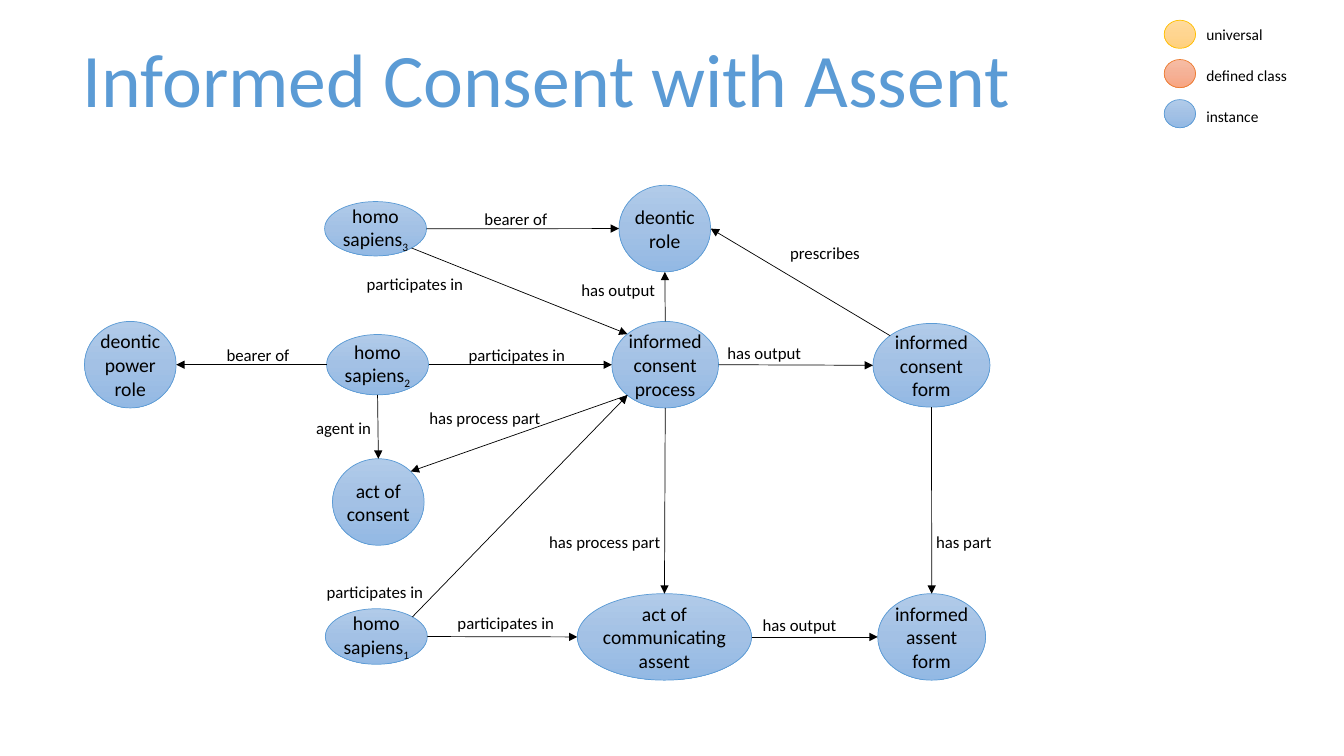
from copy import deepcopy
from math import cos, radians, sin

from lxml import etree
from pptx import Presentation
from pptx.dml.color import RGBColor
from pptx.enum.shapes import MSO_CONNECTOR, MSO_SHAPE
from pptx.enum.text import MSO_ANCHOR, MSO_AUTO_SIZE, PP_ALIGN
from pptx.oxml.ns import qn
from pptx.util import Cm, Pt

# Gradient stops from top to bottom, then the outline
INSTANCE = ("B1CBE9", "A3C1E5", "93B9E4", "5B9BD5")
DEFINED_CLASS = ("F7BDA5", "F5B196", "F8A582", "ED7D31")
UNIVERSAL = ("FFDB9E", "FFD590", "FFD07C", "FFC000")

# Ellipse connection sites, counterclockwise from the top in steps of 45 degrees
TOP, TOP_LEFT, LEFT, BOTTOM_LEFT, BOTTOM, BOTTOM_RIGHT, RIGHT, TOP_RIGHT = range(8)

# Key: left, top, width, height in cm, wording, subscript
NODES = {
    "subject": (8.23, 8.43, 2.57, 1.52, "homo sapiens", "2"),
    "holder": (8.18, 5.08, 2.57, 1.37, "homo sapiens", "3"),
    "minor": (8.2, 15.34, 2.57, 1.4, "homo sapiens", "1"),
    "consent form": (22, 8.15, 2.95, 2.11, "informed consent form", ""),
    "process": (15.42, 8.1, 2.69, 2.18, "informed consent process", ""),
    "power role": (2.13, 8.1, 2.31, 2.18, "deontic\vpower role", ""),
    "role": (15.6, 4.67, 2.31, 2.18, "deontic role", ""),
    "consent act": (8.38, 11.56, 2.31, 2.18, "act of consent", ""),
    "assent act": (14.55, 14.96, 4.39, 2.18, "act of communicating assent", ""),
    "assent form": (22.12, 14.96, 2.72, 2.18, "informed assent form", ""),
}

# Source node and site, target node and site, relation, label left and top
RELATIONS = [
    ("subject", LEFT, "power role", RIGHT, "bearer of", 5.46, 8.56),
    ("holder", RIGHT, "role", LEFT, "bearer of", 11.96, 5.13),
    ("holder", BOTTOM_RIGHT, "process", TOP_LEFT, "participates in", 8.99, 6.78),
    ("subject", RIGHT, "process", LEFT, "participates in", 11.56, 8.56),
    ("process", TOP, "role", BOTTOM, "has output", 14.4, 6.93),
    ("process", RIGHT, "consent form", LEFT, "has output", 18.08, 8.51),
    ("consent form", TOP_LEFT, "role", RIGHT, "prescribes", 19.66, 5.99),
    ("minor", TOP_RIGHT, "process", BOTTOM_LEFT, "participates in", 7.98, 14.53),
    ("subject", BOTTOM, "consent act", TOP, "agent in", 7.72, 10.39),
    ("process", BOTTOM_LEFT, "consent act", TOP_RIGHT, "has process part", 10.57, 10.16),
    ("minor", RIGHT, "assent act", LEFT, "participates in", 11.28, 15.32),
    ("process", BOTTOM, "assent act", TOP, "has process part", 13.59, 13.28),
    ("assent act", RIGHT, "assent form", LEFT, "has output", 18.97, 15.37),
    ("consent form", BOTTOM, "assent form", TOP, "has part", 23.34, 13.28),
]
LABEL_WIDTHS = {
    "bearer of": 2.11, "has output": 2.39, "participates in": 2.97,
    "prescribes": 2.29, "agent in": 1.91, "has process part": 3.35,
    "has part": 1.93,
}

# Wording, colours, circle top, label top, label width
LEGEND = [
    ("universal", UNIVERSAL, 0.51, 0.51, 1.96),
    ("defined class", DEFINED_CLASS, 1.5, 1.55, 2.57),
    ("instance", INSTANCE, 2.51, 2.57, 1.83),
]


def color(hex_value):
    """Turn a hex string into a colour."""
    return RGBColor.from_string(hex_value)


def style_run(run, size, hex_value="000000"):
    """Set font, size and colour of a run."""
    run.font.name = "Calibri"
    run.font.size = Pt(size)
    run.font.color.rgb = color(hex_value)


def add_ellipse(slide, left, top, width, height, palette):
    """Add an ellipse with a vertical three-stop gradient and a thin outline."""
    ellipse = slide.shapes.add_shape(
        MSO_SHAPE.OVAL, Cm(left), Cm(top), Cm(width), Cm(height))
    ellipse.shadow.inherit = False
    ellipse.fill.gradient()
    ellipse.fill.gradient_angle = 270
    stops = ellipse._element.spPr.find(".//" + qn("a:gsLst"))
    stops.insert(1, deepcopy(stops[0]))
    for index, stop in enumerate(ellipse.fill.gradient_stops):
        stop.position = index / 2
        stop.color.rgb = color(palette[index])
    ellipse.line.color.rgb = color(palette[-1])
    ellipse.line.width = Pt(0.5)
    return ellipse


def add_node(slide, left, top, width, height, wording, subscript):
    """Add an instance ellipse with centred wording and an optional subscript."""
    node = add_ellipse(slide, left, top, width, height, INSTANCE)
    frame = node.text_frame
    frame.word_wrap = True
    frame.vertical_anchor = MSO_ANCHOR.MIDDLE
    frame.margin_left = frame.margin_right = 0
    frame.margin_top = frame.margin_bottom = 0
    frame.text = wording
    paragraph = frame.paragraphs[0]
    paragraph.alignment = PP_ALIGN.CENTER
    if subscript:
        index = paragraph.add_run()
        index.text = subscript
        index.font._element.set("baseline", "-25000")
    for run in paragraph.runs:
        style_run(run, 14)
    return node


def add_text(slide, left, top, width, height, wording, size,
             hex_value="000000", wrap=False):
    """Add a line of text in a box that fits its content."""
    box = slide.shapes.add_textbox(Cm(left), Cm(top), Cm(width), Cm(height))
    frame = box.text_frame
    frame.word_wrap = wrap
    frame.auto_size = MSO_AUTO_SIZE.SHAPE_TO_FIT_TEXT
    frame.text = wording
    style_run(frame.paragraphs[0].runs[0], size, hex_value)


def site_point(node, site):
    """Return the place of a connection site on an ellipse."""
    angle = radians(45 * site)
    x = node.left + node.width / 2 * (1 - sin(angle))
    y = node.top + node.height / 2 * (1 - cos(angle))
    return round(x), round(y)


def add_arrow(slide, source, source_site, target, target_site):
    """Add a straight arrow attached to the sites of two nodes."""
    arrow = slide.shapes.add_connector(
        MSO_CONNECTOR.STRAIGHT,
        *site_point(source, source_site), *site_point(target, target_site))
    arrow.line.color.rgb = color("000000")
    arrow.line.width = Pt(0.5)
    etree.SubElement(arrow.line._get_or_add_ln(), qn("a:tailEnd"), type="triangle")
    etree.SubElement(arrow._element.spPr, qn("a:effectLst"))
    ends = arrow._element.find(".//" + qn("p:cNvCxnSpPr"))
    for tag, node, site in (("a:stCxn", source, source_site),
                            ("a:endCxn", target, target_site)):
        etree.SubElement(ends, qn(tag), id=str(node.shape_id), idx=str(site))


def add_legend(slide):
    """Add the key to the node colours."""
    for wording, palette, circle_top, label_top, label_width in LEGEND:
        add_ellipse(slide, 29.34, circle_top, 0.79, 0.71, palette)
        add_text(slide, 30.15, label_top, label_width, 0.74, wording, 11)


def main():
    """Build the consent diagram and save it."""
    deck = Presentation()
    deck.slide_width, deck.slide_height = Cm(33.87), Cm(19.05)
    slide = deck.slides.add_slide(deck.slide_layouts[6])
    add_text(slide, 1.83, 0.69, 25.32, 2.57, "Informed Consent with Assent",
             54, "5B9BD5", wrap=True)
    nodes = {key: add_node(slide, *details) for key, details in NODES.items()}
    for source, source_site, target, target_site, relation, left, top in RELATIONS:
        add_arrow(slide, nodes[source], source_site, nodes[target], target_site)
        add_text(slide, left, top, LABEL_WIDTHS[relation], 0.76, relation, 12)
    add_legend(slide)
    deck.save("out.pptx")


main()
